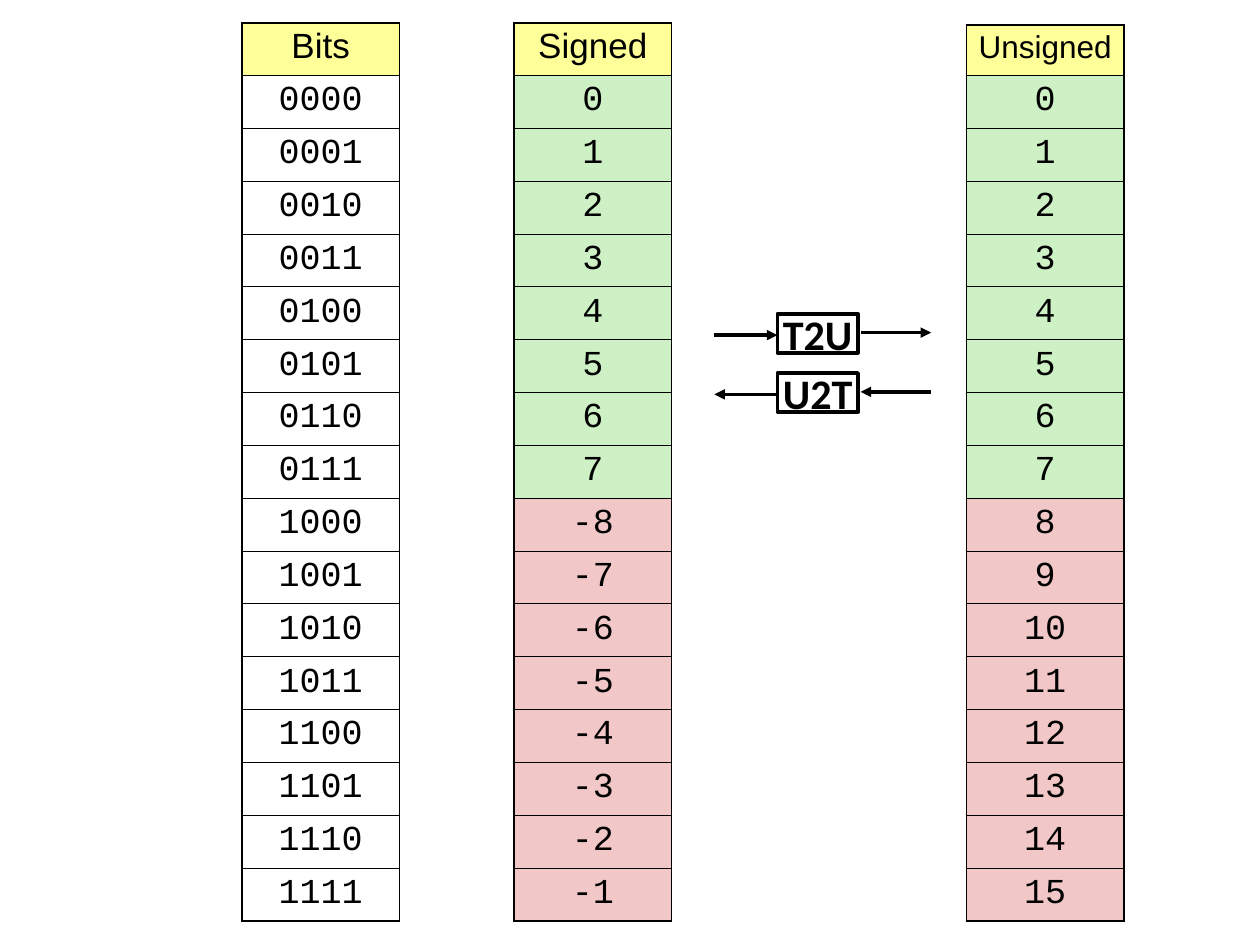
"""Build a slide that maps four-bit patterns to signed and unsigned integers."""
import pptx
import pptx.dml.color
import pptx.enum.shapes
import pptx.enum.text
import pptx.oxml
import pptx.oxml.ns
import pptx.util
from pptx.util import Inches

BLACK = pptx.dml.color.RGBColor(0x00, 0x00, 0x00)
WHITE = pptx.dml.color.RGBColor(0xFF, 0xFF, 0xFF)
YELLOW = pptx.dml.color.RGBColor(0xFF, 0xFF, 0x99)
GREEN = pptx.dml.color.RGBColor(0xCD, 0xF1, 0xC5)
RED = pptx.dml.color.RGBColor(0xF1, 0xC7, 0xC7)

THICK, THIN = 1.08, 0.45
ROW_HEIGHT = 7.13 / 17
TABLE_BOTTOM = 7.31


def write_text(text_frame, text, font="Courier New", size=20, bold=False, line_spacing=1.0):
    paragraph = text_frame.paragraphs[0]
    paragraph.alignment = pptx.enum.text.PP_ALIGN.CENTER
    paragraph.line_spacing = line_spacing
    run = paragraph.add_run()
    run.text = text
    run.font.name = font
    run.font.size = pptx.util.Pt(size)
    run.font.bold = bold
    run.font.color.rgb = BLACK


def add_element(parent, tag, **attributes):
    element = pptx.oxml.parse_xml(f"<{tag} {pptx.oxml.ns.nsdecls('a')}/>")
    for name, value in attributes.items():
        element.set(name, value)
    parent.append(element)
    return element


class SlideBuilder:
    def __init__(self, slide, line_width=2):
        self.slide = slide
        self.line_width = pptx.util.Pt(line_width)

    def border_cell(self, cell, top, bottom):
        properties = cell._tc.get_or_add_tcPr()
        for side, width in (("L", THICK), ("R", THICK), ("T", top), ("B", bottom)):
            line = add_element(properties, f"a:ln{side}", w=str(pptx.util.Pt(width)))
            fill = add_element(line, "a:solidFill")
            add_element(fill, "a:srgbClr", val=str(BLACK))

    def add_column(self, left, top, header, values, fills, header_size=20):
        texts = [header, *values]
        height = TABLE_BOTTOM - top
        frame = self.slide.shapes.add_table(
            len(texts), 1, Inches(left), Inches(top), Inches(1.25), Inches(height))
        table = frame.table
        table.first_row = False
        table.horz_banding = False
        last = len(texts) - 1
        for index, (text, fill) in enumerate(zip(texts, [YELLOW, *fills])):
            is_header = index == 0
            row_height = height - ROW_HEIGHT * last if is_header else ROW_HEIGHT
            table.rows[index].height = Inches(row_height)
            cell = table.cell(index, 0)
            cell.margin_left = cell.margin_right = Inches(0.05)
            cell.margin_top = cell.margin_bottom = Inches(0.05)
            self.border_cell(cell, THICK if is_header else THIN,
                             THICK if index == last else THIN)
            if fill is None:
                cell.fill.background()
            else:
                cell.fill.solid()
                cell.fill.fore_color.rgb = fill
            write_text(cell.text_frame, text,
                       font="Arial" if is_header else "Courier New",
                       size=header_size if is_header else 20, line_spacing=0.95)

    def add_box(self, left, top, text):
        shape = self.slide.shapes.add_shape(
            pptx.enum.shapes.MSO_SHAPE.RECTANGLE,
            Inches(left), Inches(top), Inches(0.64), Inches(0.31))
        shape.shadow.inherit = False
        shape.fill.solid()
        shape.fill.fore_color.rgb = WHITE
        shape.line.color.rgb = BLACK
        shape.line.width = self.line_width
        shape.text_frame.word_wrap = False
        shape.text_frame.vertical_anchor = pptx.enum.text.MSO_ANCHOR.MIDDLE
        write_text(shape.text_frame, text, font="Calibri", size=24, bold=True)

    def add_arrow(self, start, end, y):
        connector = self.slide.shapes.add_connector(
            pptx.enum.shapes.MSO_CONNECTOR.STRAIGHT,
            Inches(start), Inches(y), Inches(end), Inches(y))
        connector.line.color.rgb = BLACK
        connector.line.width = self.line_width
        add_element(connector.line._get_or_add_ln(), "a:tailEnd", type="triangle")
        add_element(connector._element.spPr, "a:effectLst")

    def add_conversion(self, top, text, rightward):
        self.add_box(6.17, top, text)
        for left, right, offset in ((5.67, 6.17, 0.17), (6.83, 7.39, 0.15)):
            start, end = (left, right) if rightward else (right, left)
            self.add_arrow(start, end, top + offset)


def main():
    presentation = pptx.Presentation()
    presentation.slide_width = Inches(10)
    presentation.slide_height = Inches(7.5)
    slide = presentation.slides.add_slide(presentation.slide_layouts[6])
    builder = SlideBuilder(slide)

    numbers = range(16)
    bits = [f"{number:04b}" for number in numbers]
    signed = [str(number if number < 8 else number - 16) for number in numbers]
    unsigned = [str(number) for number in numbers]
    halves = [GREEN] * 8 + [RED] * 8

    builder.add_column(4.08, 0.18, "Signed", signed, halves)
    builder.add_column(7.67, 0.2, "Unsigned", unsigned, halves, header_size=18)
    builder.add_column(1.92, 0.18, "Bits", bits, [None] * 16)
    builder.add_conversion(2.96, "U2T", rightward=False)
    builder.add_conversion(2.49, "T2U", rightward=True)

    presentation.save("out.pptx")


if __name__ == "__main__":
    main()
